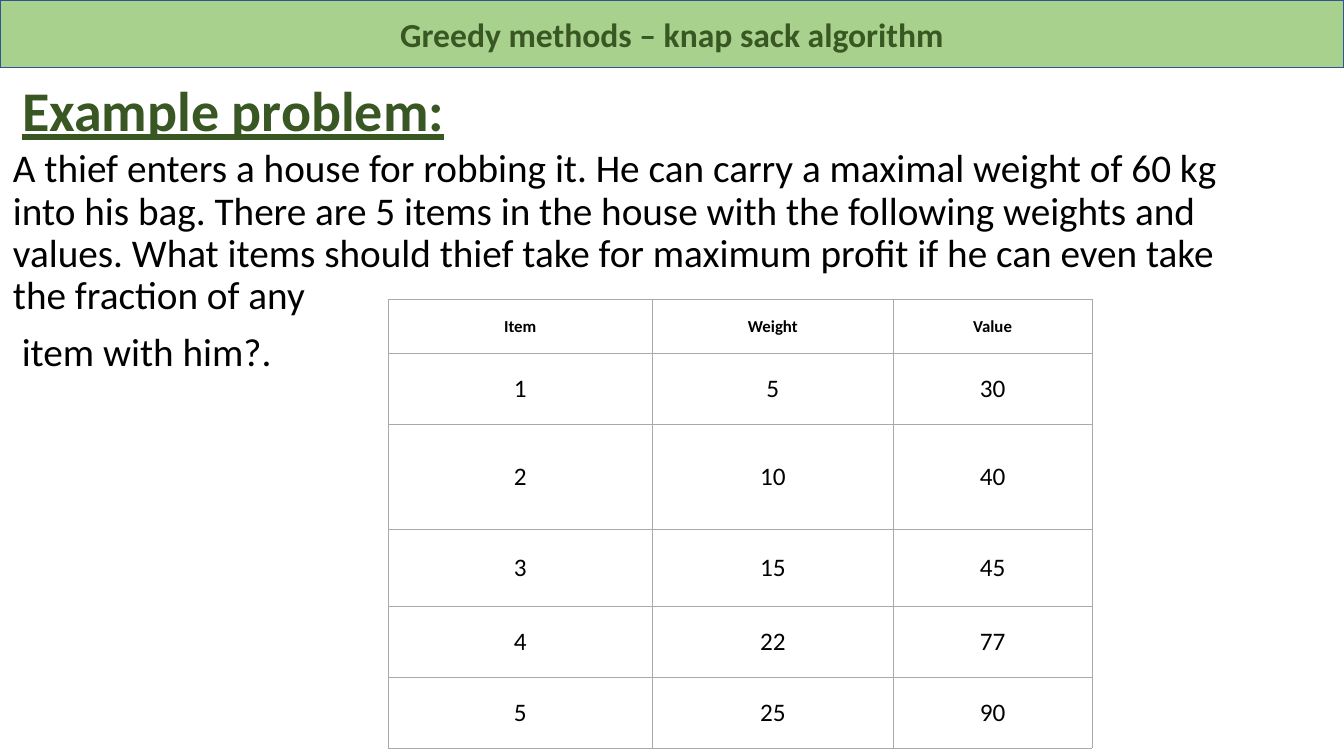
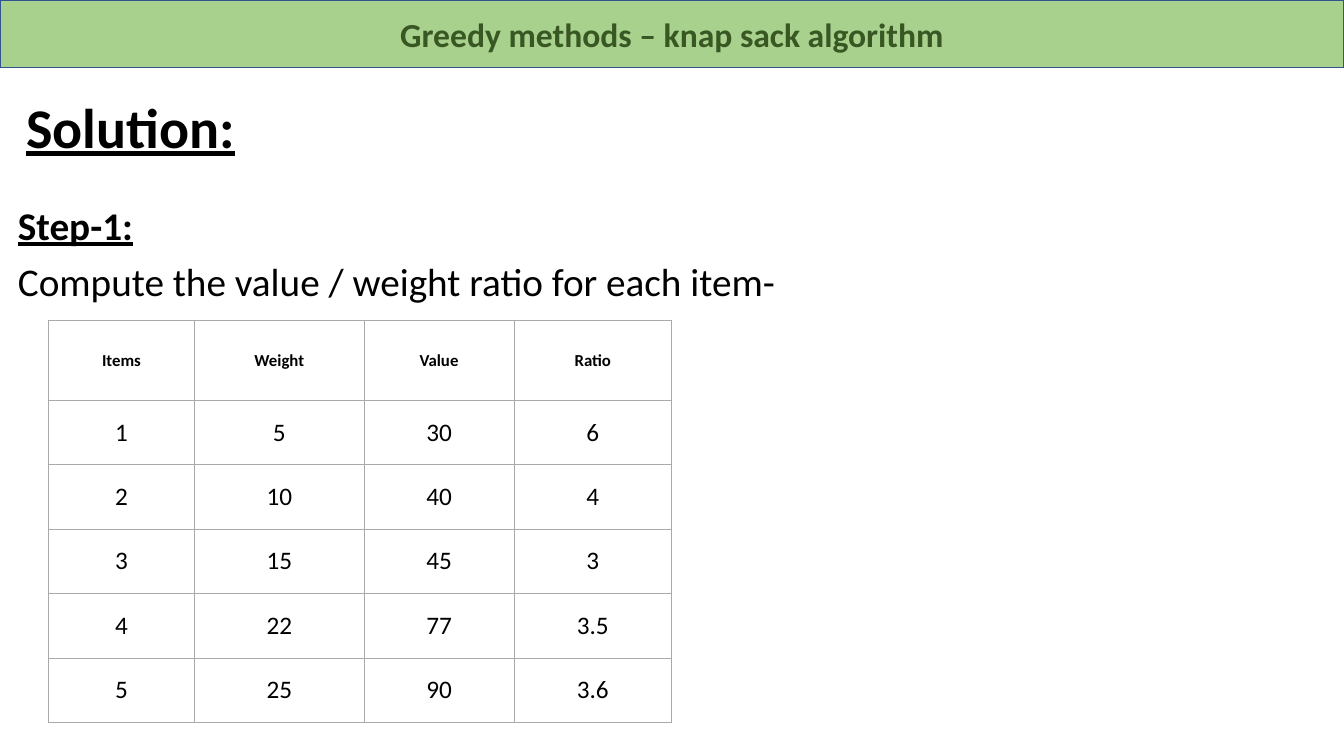
from lxml.etree import SubElement
from pptx import Presentation
from pptx.dml.color import RGBColor
from pptx.enum.shapes import MSO_SHAPE
from pptx.enum.text import MSO_ANCHOR as ANCHOR, PP_ALIGN as ALIGN
from pptx.oxml.ns import qn
from pptx.util import Inches, Pt

# Content
BANNER = "Greedy methods – knap sack algorithm"
ITEMS = [(1, 5, 30), (2, 10, 40), (3, 15, 45), (4, 22, 77), (5, 25, 90)]
RATIOS = [(item, weight, value, f"{value / weight:g}") for item, weight, value in ITEMS]

SLIDES = [
    {
        "title": ("Example problem:", "dark_green", (0.12, 0.4, 12.29, 1.45)),
        "body_box": (0.03, 1.43, 12.42, 5.8),
        "body": [
            ("A thief enters a house for robbing it. He can carry a maximal weight "
             "of 60 kg into his bag. There are 5 items in the house with the "
             "following weights and values. What items should thief take for "
             "maximum profit if he can even take the fraction of any", False),
            (" item with him?.", False),
        ],
        "table_at": (3.85, 2.97),
        "cols": [2.62, 2.39, 1.97],
        "rows": [0.54, 0.7, 1.04, 0.77, 0.7, 0.7],
        "cells": [("Item", "Weight", "Value")] + ITEMS,
    },
    {
        "title": ("Solution:", "black", (0.16, 0.74, 12.26, 1.1)),
        "body_box": (0.08, 2, 12.34, 5.39),
        "body": [
            ("Step-1:", True),
            ("Compute the value / weight ratio for each item-", False),
        ],
        "table_at": (0.48, 3.18),
        "cols": [1.45, 1.68, 1.49, 1.56],
        "rows": [0.79] + [0.64] * len(RATIOS),
        "cells": [("Items", "Weight", "Value", "Ratio")] + RATIOS,
    },
]

# Shared style
FONT = "Calibri"
COLORS = {
    "dark_green": "385723",
    "band": "A9D18E",
    "band_line": "325491",
    "grid": "AAAAAA",
    "black": "000000",
    "white": "FFFFFF",
}
SLIDE_W, SLIDE_H, BAND_H = 13.33, 7.5, 0.67


def rgb(name):
    return RGBColor.from_string(COLORS[name])


def style(p, size, color, bold=False, underline=False):
    for r in p.runs:
        f = r.font
        f.name, f.size, f.bold, f.underline = FONT, Pt(size), bold, underline
        f.color.rgb = rgb(color)


def add_text(s, box, paragraphs, size, color, anchor=ANCHOR.TOP):
    """Each paragraph is (text, is_heading); headings are bold and underlined."""
    tf = s.shapes.add_textbox(*map(Inches, box)).text_frame
    tf.word_wrap, tf.vertical_anchor = True, anchor
    for i, (text, heading) in enumerate(paragraphs):
        p = tf.add_paragraph() if i else tf.paragraphs[0]
        p.text, p.line_spacing = text, 0.9
        p.space_before = Pt(10 if i else 0)
        style(p, size, color, heading, heading)


def add_band(s):
    sp = s.shapes.add_shape(MSO_SHAPE.RECTANGLE, 0, 0, Inches(SLIDE_W), Inches(BAND_H))
    sp.shadow.inherit = False
    sp.fill.solid()
    sp.fill.fore_color.rgb = rgb("band")
    sp.line.color.rgb = rgb("band_line")
    sp.line.width = Pt(1)
    tf = sp.text_frame
    tf.text, tf.vertical_anchor = BANNER, ANCHOR.MIDDLE
    p = tf.paragraphs[0]
    p.alignment = ALIGN.CENTER
    style(p, 24, "dark_green", bold=True)


def add_borders(cell):
    props = cell._tc.get_or_add_tcPr()
    for side in ("lnL", "lnR", "lnT", "lnB"):
        ln = SubElement(props, qn(f"a:{side}"), w=str(Pt(0.6)))
        fill = SubElement(ln, qn("a:solidFill"))
        SubElement(fill, qn("a:srgbClr"), val=COLORS["grid"])


def add_grid(s, at, cols, rows, cells):
    size = (sum(cols), sum(rows))
    table = s.shapes.add_table(len(rows), len(cols), *map(Inches, at + size)).table
    for col, width in zip(table.columns, cols):
        col.width = Inches(width)
    for i, (row, height, values) in enumerate(zip(table.rows, rows, cells)):
        row.height = Inches(height)
        header = i == 0
        for cell, value in zip(row.cells, values):
            add_borders(cell)
            cell.fill.solid()
            cell.fill.fore_color.rgb = rgb("white")
            cell.margin_left = cell.margin_right = Inches(0.08)
            cell.margin_top = cell.margin_bottom = Inches(0.07)
            cell.vertical_anchor = ANCHOR.MIDDLE
            cell.text = str(value)
            p = cell.text_frame.paragraphs[0]
            p.alignment = ALIGN.CENTER
            style(p, 12 if header else 18, "black", bold=header)


# Build
prs = Presentation()
prs.slide_width, prs.slide_height = Inches(SLIDE_W), Inches(SLIDE_H)
for spec_of_slide in SLIDES:
    s = prs.slides.add_slide(prs.slide_layouts[6])
    title, color, box = spec_of_slide["title"]
    add_text(s, box, [(title, True)], 40, color, ANCHOR.MIDDLE)
    add_text(s, spec_of_slide["body_box"], spec_of_slide["body"], 28, "black")
    add_band(s)
    add_grid(s, spec_of_slide["table_at"], spec_of_slide["cols"],
             spec_of_slide["rows"], spec_of_slide["cells"])
prs.save("out.pptx")
